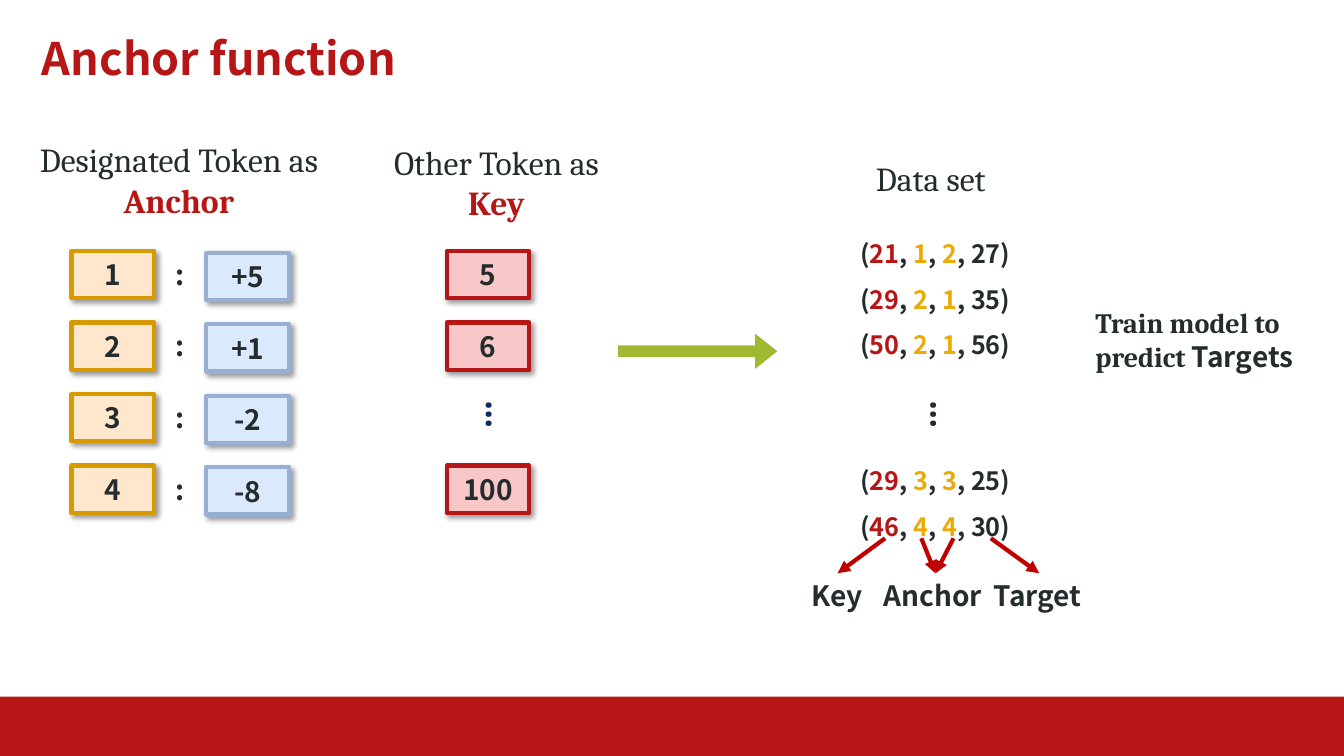
import pptx
import pptx.dml.color
import pptx.enum.shapes
import pptx.enum.text
import pptx.oxml
import pptx.oxml.ns
import pptx.util

Pt = pptx.util.Pt
ALIGN = pptx.enum.text.PP_ALIGN
ANCHOR = pptx.enum.text.MSO_ANCHOR
AUTO_SIZE = pptx.enum.text.MSO_AUTO_SIZE
SHAPES = pptx.enum.shapes.MSO_SHAPE
SANS = "Noto Sans CJK SC"
SERIF = "Cambria"
COLORS = {
    "red": "B61616", "ink": "242C2D", "navy": "0E2B63", "green": "A0B932",
    "pink": "F8C8C8", "gold": "D79A00", "cream": "FFE7CD", "amber": "EBAA05",
    "steel": "96AFD2", "sky": "DBE9FC", "arrow": "C00000",
}
ROW_TOP = 179.3
ROW_PITCH = 51.1
LINE_PITCH = 32.4


def rgb(name):
    return pptx.dml.color.RGBColor.from_string(COLORS[name])


def drawing_element(tag, **attributes):
    element = pptx.oxml.parse_xml(f"<a:{tag} {pptx.oxml.ns.nsdecls('a')}/>")
    for name, value in attributes.items():
        element.set(name, str(value))
    return element


def add_text(paragraph, text, size=20, font=SANS, color="ink", bold=True):
    run = paragraph.add_run()
    run.text = text
    run.font.size = Pt(size)
    run.font.name = font
    run.font.bold = bold
    run.font.color.rgb = rgb(color)


def add_text_box(slide, left, top, width, height, wrap=True, align=ALIGN.LEFT):
    shape = slide.shapes.add_textbox(Pt(left), Pt(top), Pt(width), Pt(height))
    frame = shape.text_frame
    frame.word_wrap = wrap
    frame.auto_size = AUTO_SIZE.SHAPE_TO_FIT_TEXT
    frame.paragraphs[0].alignment = align
    return frame


def add_label(slide, text, left, top, width):
    frame = add_text_box(slide, left, top, width, 31.5, wrap=False)
    add_text(frame.paragraphs[0], text)


def add_heading(slide, text, keyword, left, top, width):
    frame = add_text_box(slide, left, top, width, 65.4, align=ALIGN.CENTER)
    add_text(frame.paragraphs[0], text, size=24, font=SERIF, bold=False)
    add_text(frame.paragraphs[0], keyword, size=24, font=SERIF, color="red")


def add_ellipsis(slide, left, color):
    frame = add_text_box(slide, left, 278.6, 48.2, 35.3, wrap=False)
    frame._txBody.bodyPr.set("vert", "eaVert")
    add_text(frame.paragraphs[0], "…", size=28, font=SERIF, color=color)


def add_block(slide, kind, left, top, width, height, fill):
    shape = slide.shapes.add_shape(kind, Pt(left), Pt(top), Pt(width), Pt(height))
    shape.shadow.inherit = False
    shape.fill.solid()
    shape.fill.fore_color.rgb = rgb(fill)
    shape.line.fill.background()
    return shape


def add_token(slide, text, left, top, fill, line):
    shape = add_block(slide, SHAPES.RECTANGLE, left, top, 59, 33.8, fill)
    shape.line.color.rgb = rgb(line)
    shape.line.width = Pt(3)
    shadow = drawing_element("outerShdw", blurRad=Pt(4), dist=Pt(3), dir=2700000,
                             algn="tl", rotWithShape=0)
    shadow_color = drawing_element("srgbClr", val="000000")
    shadow_color.append(drawing_element("alpha", val=40000))
    shadow.append(shadow_color)
    shape._element.spPr.find(pptx.oxml.ns.qn("a:effectLst")).append(shadow)
    shape.text_frame.vertical_anchor = ANCHOR.MIDDLE
    paragraph = shape.text_frame.paragraphs[0]
    paragraph.alignment = ALIGN.CENTER
    add_text(paragraph, text)


def add_arrow(slide, start_x, end_x):
    connector = slide.shapes.add_connector(
        pptx.enum.shapes.MSO_CONNECTOR.STRAIGHT,
        Pt(start_x), Pt(384.5), Pt(end_x), Pt(409.5))
    connector.line.color.rgb = rgb("arrow")
    connector.line.width = Pt(3)
    connector.line._get_or_add_ln().append(drawing_element("tailEnd", type="triangle"))
    connector._element.spPr.append(drawing_element("effectLst"))


def add_title(slide, text):
    title = slide.shapes.title
    title.left, title.top, title.width, title.height = Pt(30), Pt(0), Pt(900), Pt(60)
    frame = title.text_frame
    frame.auto_size = AUTO_SIZE.NONE
    frame.vertical_anchor = ANCHOR.BOTTOM
    frame.margin_left = frame.margin_right = frame.margin_top = frame.margin_bottom = 0
    frame.paragraphs[0].alignment = ALIGN.LEFT
    add_text(frame.paragraphs[0], text, size=32, color="red")


def add_samples(slide):
    samples = [(21, 1, 2, 27), (29, 2, 1, 35), (50, 2, 1, 56),
               (29, 3, 3, 25), (46, 4, 4, 30)]
    frame = add_text_box(slide, 606.2, 156.2, 123.8, 232.6)
    for index, (key, first, second, target) in enumerate(samples):
        paragraph = frame.add_paragraph() if index else frame.paragraphs[0]
        paragraph.alignment = ALIGN.CENTER
        paragraph.line_spacing = 1.5
        if index == 3:
            paragraph.space_before = Pt(2 * LINE_PITCH)
        pieces = [("(", "ink"), (f"{key}", "red"), (", ", "ink"), (f"{first}", "amber"),
                  (", ", "ink"), (f"{second}", "amber"), (f", {target})", "ink")]
        for text, color in pieces:
            add_text(paragraph, text, size=18, color=color)


def main():
    presentation = pptx.Presentation()
    presentation.slide_width, presentation.slide_height = Pt(960), Pt(540)
    slide = presentation.slides.add_slide(presentation.slide_layouts[5])
    add_block(slide, SHAPES.RECTANGLE, 0, 497.5, 960, 42.5, "red")
    add_title(slide, "Anchor function")

    add_heading(slide, "Designated Token as ", "Anchor", 19.4, 95.8, 216.7)
    add_heading(slide, "Other Token as ", "Key", 267.8, 97.9, 173.5)
    for row, (anchor, shift) in enumerate([("1", "+5"), ("2", "+1"), ("3", "-2"), ("4", "-8")]):
        top = ROW_TOP + row * ROW_PITCH
        add_token(slide, anchor, 51.1, top, "cream", "gold")
        add_label(slide, ":", 118.1, top + 1, 20.2)
        add_token(slide, shift, 147.4, top + 1.2, "sky", "steel")
    for row, key in [(0, "5"), (1, "6"), (3, "100")]:
        add_token(slide, key, 319, ROW_TOP + row * ROW_PITCH, "pink", "red")
    add_ellipsis(slide, 330.5, "navy")

    flow_arrow = add_block(slide, SHAPES.RIGHT_ARROW, 441.4, 238.3, 113.8, 25.2, "green")
    flow_arrow.adjustments[0] = 0.34
    flow_arrow.adjustments[1] = 0.63

    data_heading = add_text_box(slide, 618.5, 109.4, 111.6, 36)
    add_text(data_heading.paragraphs[0], "Data set", size=24, font=SERIF, bold=False)
    add_samples(slide)
    add_ellipsis(slide, 648, "ink")
    for text, left, width in [("Key", 572.4, 51.8), ("Anchor", 624.2, 87.8),
                              ("Target", 702.7, 78.5)]:
        add_label(slide, text, left, 409.5, width)
    for start_x, end_x in [(632.2, 598.3), (658.1, 668.2), (681.1, 668.2), (707.8, 742.3)]:
        add_arrow(slide, start_x, end_x)

    goal = add_text_box(slide, 775.4, 214.6, 184, 55.4)
    add_text(goal.paragraphs[0], "Train model to predict ", font=SERIF)
    add_text(goal.paragraphs[0], "Targets")
    presentation.save("out.pptx")


if __name__ == "__main__":
    main()
